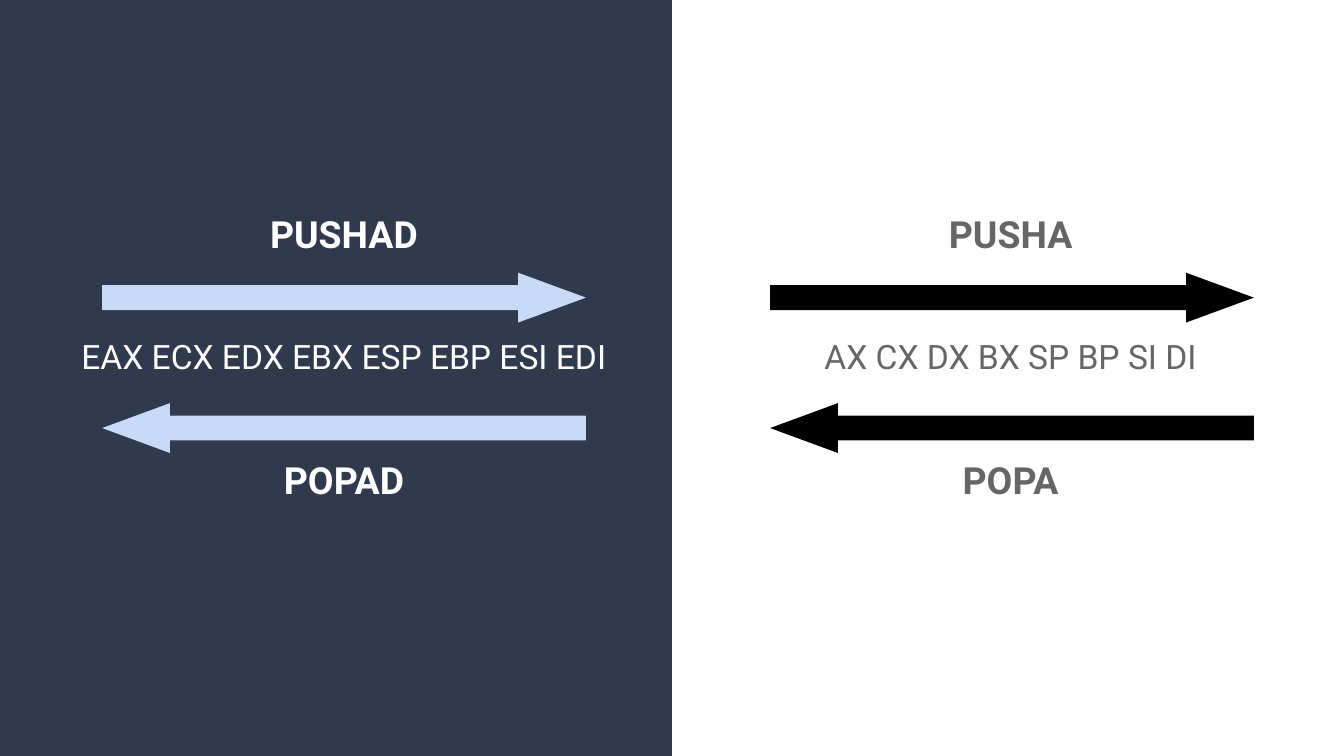
from pptx import Presentation
from pptx.dml.color import RGBColor
from pptx.enum.shapes import MSO_SHAPE as Shape
from pptx.enum.text import MSO_ANCHOR as Anchor, MSO_AUTO_SIZE as AutoSize, PP_ALIGN as Align
from pptx.util import Inches, Pt

# Content: push instruction, registers in push order, pop instruction
LEFT_LINES = ("PUSHAD", "EAX ECX EDX EBX ESP EBP ESI EDI", "POPAD")
RIGHT_LINES = ("PUSHA", "AX CX DX BX SP BP SI DI", "POPA")

THEME = {
    "font": "Roboto",
    "instruction_size": 20,
    "register_size": 18,
    "line_gap": 43,
    "panel": "31394D",
    "left": {"text": "FFFFFF", "arrow": "C9DAF8"},
    "right": {"text": "666666", "arrow": "000000"},
}

# Layout: a 16:9 page
PAGE_WIDTH = 10
PAGE_HEIGHT = PAGE_WIDTH * 9 / 16
TEXT_TOP, TEXT_WIDTH, TEXT_HEIGHT = 1.47, 4.32, 2.65
ARROW_WIDTH, ARROW_HEIGHT = 3.6, 0.37
ARROW_ROWS = ((2.03, 0), (3, 180))  # top, rotation


def color(name):
    return RGBColor.from_string(name)


def add_solid(page, kind, left, top, width, height, fill):
    shape = page.shapes.add_shape(
        kind, Inches(left), Inches(top), Inches(width), Inches(height))
    shape.shadow.inherit = False
    shape.fill.solid()
    shape.fill.fore_color.rgb = color(fill)
    shape.line.fill.background()
    return shape


def write_lines(box, left, lines, text_color):
    box.left, box.top = Inches(left), Inches(TEXT_TOP)
    box.width, box.height = Inches(TEXT_WIDTH), Inches(TEXT_HEIGHT)
    frame = box.text_frame
    frame.word_wrap = True
    frame.auto_size = AutoSize.NONE
    frame.vertical_anchor = Anchor.TOP
    frame.margin_left = frame.margin_right = Inches(0.1)
    frame.margin_top = frame.margin_bottom = Inches(0.1)
    frame.text = "\n".join(lines)
    for index, para in enumerate(frame.paragraphs):
        is_register = index == 1
        para.alignment = Align.CENTER
        para.space_before = Pt(THEME["line_gap"] if index else 0)
        for span in para.runs:
            span.font.name = THEME["font"]
            span.font.size = Pt(THEME["register_size" if is_register else "instruction_size"])
            span.font.bold = not is_register
            span.font.color.rgb = color(text_color)


def add_arrows(page, left, fill):
    for top, rotation in ARROW_ROWS:
        arrow = add_solid(page, Shape.RIGHT_ARROW, left, top, ARROW_WIDTH, ARROW_HEIGHT, fill)
        arrow.adjustments[0] = 0.5
        arrow.adjustments[1] = 1.36
        arrow.rotation = rotation


def main():
    deck = Presentation()
    deck.slide_width, deck.slide_height = Inches(PAGE_WIDTH), Inches(PAGE_HEIGHT)
    page = deck.slides.add_slide(deck.slide_layouts[5])
    title = page.shapes.title

    # Dark left half, behind the title
    panel = add_solid(page, Shape.RECTANGLE, 0, 0, PAGE_WIDTH / 2, PAGE_HEIGHT, THEME["panel"])
    title.element.addprevious(panel.element)

    # 32-bit registers on the left, 16-bit registers on the right
    right_box = page.shapes.add_textbox(0, 0, 0, 0)
    columns = (
        (title, 0.4, 0.76, LEFT_LINES, THEME["left"]),
        (right_box, 5.36, 5.73, RIGHT_LINES, THEME["right"]),
    )
    for box, text_left, arrow_left, lines, colors in columns:
        write_lines(box, text_left, lines, colors["text"])
        add_arrows(page, arrow_left, colors["arrow"])

    deck.save("out.pptx")


if __name__ == "__main__":
    main()
